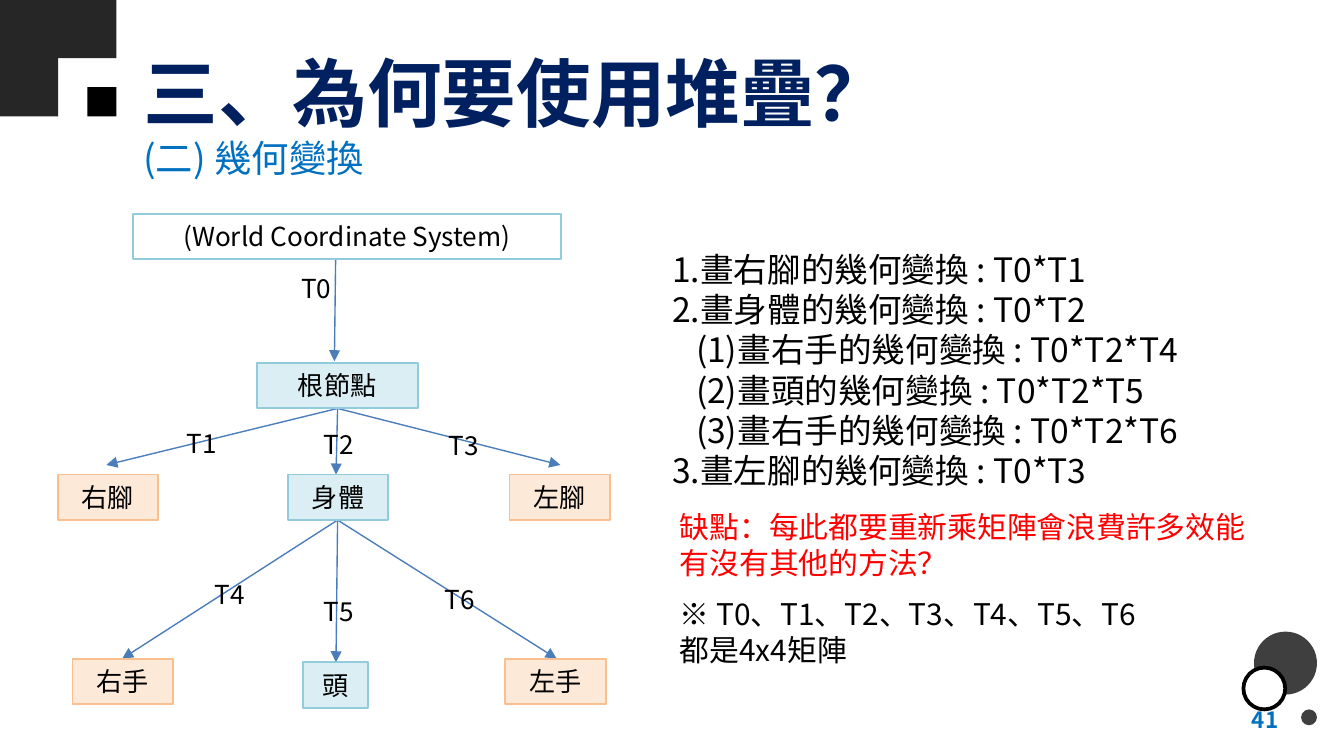
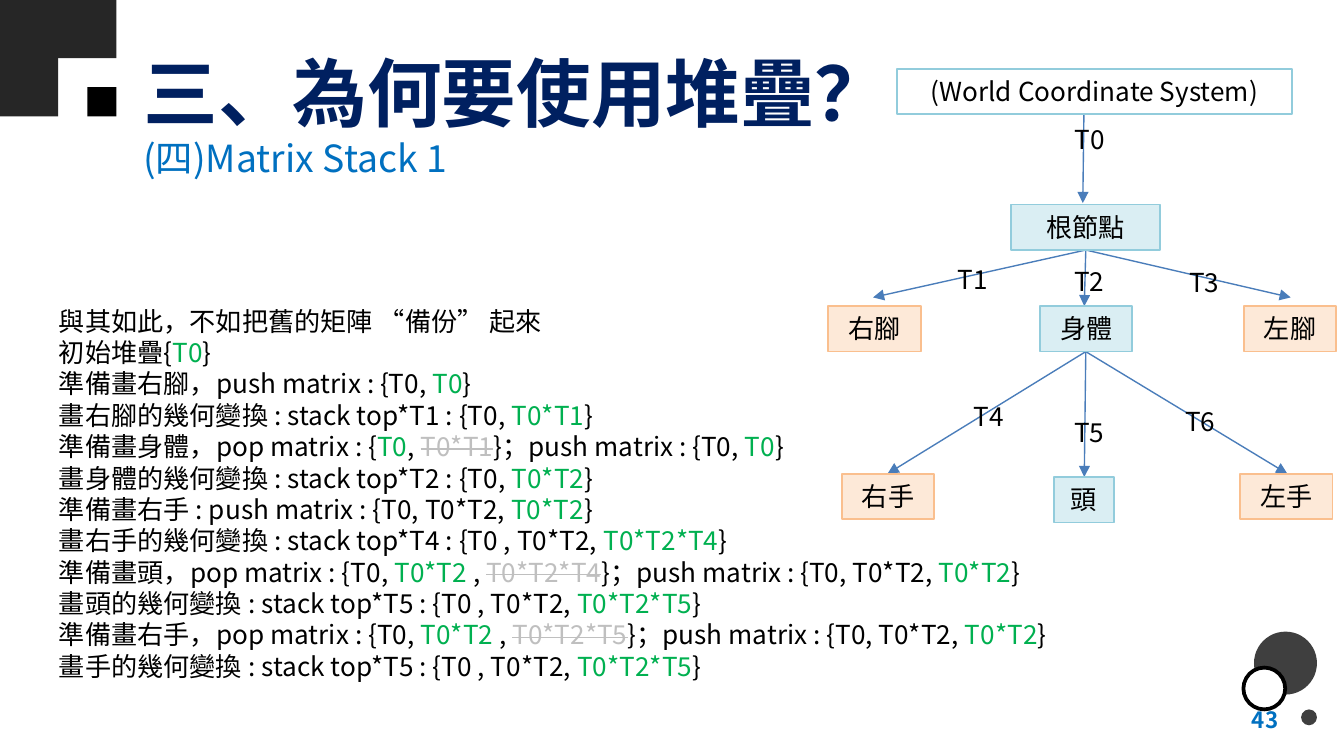
from dataclasses import dataclass
from typing import Any, NamedTuple

from lxml.etree import SubElement
from pptx import Presentation
from pptx.dml.color import RGBColor
from pptx.enum.shapes import MSO_CONNECTOR, MSO_SHAPE
from pptx.enum.text import MSO_ANCHOR, MSO_AUTO_SIZE, PP_ALIGN
from pptx.oxml.ns import qn
from pptx.util import Cm, Pt


@dataclass(frozen=True)
class Theme:
    font: str = "Noto Sans CJK TC"
    navy: str = "002060"
    blue: str = "0070C0"
    ink: str = "000000"
    white: str = "FFFFFF"
    red: str = "FF0000"
    green: str = "00B050"
    pale: str = "BFBFBF"
    dark: str = "262626"
    gray: str = "3F3F3F"
    arrow: str = "4A7DBA"
    aqua: str = "DAEEF3"
    teal: str = "92CCDC"
    peach: str = "FDE9D8"
    orange: str = "FABF8E"
    title: int = 40
    sub: int = 20
    list: int = 18
    note: int = 16
    small: int = 14
    page: int = 12
    pitch: float = 1.2


T = Theme()


class Box(NamedTuple):
    x: float
    y: float
    w: float
    h: float


class Bit(NamedTuple):
    text: str
    color: str = T.ink
    struck: bool = False


class Line(NamedTuple):
    bits: list[Bit]
    inset: float = 0


class Node(NamedTuple):
    text: str
    x: float
    y: float
    w: float
    fill: str
    edge: str


class Link(NamedTuple):
    x: float
    top: float  # top of the node the arrow leaves
    drop: float  # unscaled distance below that top
    to_x: float
    to_y: float


class Label(NamedTuple):
    text: str
    x: float
    y: float


class Tree(NamedTuple):
    x: float
    y: float
    wide: float
    tall: float
    shift: dict[str, float]

    def place(self, x: float, y: float) -> tuple[float, float]:
        return (self.x + self.wide * (x - AXIS), self.y + self.tall * (y - TOP))


# Tree of body parts, in cm
AXIS, TOP, HIGH, TAG = 6.38, 4.04, 0.86, 1.37
ROOT, LIMB, LEAF = 6.86, 8.97, 12.45
NODES = [
    Node("(World Coordinate System)", 2.51, TOP, 8.1, T.white, T.teal),
    Node("根節點", 4.85, ROOT, 3.05, T.aqua, T.teal),
    Node("身體", 5.44, LIMB, 1.9, T.aqua, T.teal),
    Node("右腳", 1.09, LIMB, 1.9, T.peach, T.orange),
    Node("左腳", 9.63, LIMB, 1.9, T.peach, T.orange),
    Node("頭", 5.72, 12.52, 1.24, T.aqua, T.teal),
    Node("右手", 1.37, LEAF, 1.9, T.peach, T.orange),
    Node("左手", 9.55, LEAF, 1.9, T.peach, T.orange),
]
LINKS = [Link(6.35, TOP, 0.28, 6.32, 6.83)] + [
    Link(AXIS, top, HIGH, x, y)
    for top, ends in (
        (ROOT, [(2.01, 8.79), (6.35, LIMB), (10.59, 8.79)]),
        (LIMB, [(6.35, 12.52), (2.31, LEAF), (10.52, LEAF)]),
    )
    for x, y in ends
]
LABELS = [
    Label("T0", 5.44, 5.03), Label("T1", 3.28, 7.95), Label("T2", 5.87, 7.98),
    Label("T3", 8.23, 8.0), Label("T4", 3.81, 10.8), Label("T5", 5.87, 11.13),
    Label("T6", 8.15, 10.9),
]


def rgb(code: str) -> RGBColor:
    return RGBColor.from_string(code)


def new(text: str) -> Bit:
    return Bit(text, T.green)


def old(text: str) -> Bit:
    return Bit(text, T.pale, True)


def plain(*texts: str, color: str = T.ink) -> list[Line]:
    return [Line([Bit(text, color)]) for text in texts]


# Text
def write(shape: Any, lines: list[Line], size: int, bold: bool = False,
          align: Any = PP_ALIGN.LEFT, anchor: Any = MSO_ANCHOR.TOP,
          fit: Any = MSO_AUTO_SIZE.SHAPE_TO_FIT_TEXT, tight: bool = True) -> None:
    frame = shape.text_frame
    frame.word_wrap = True
    frame.auto_size = fit
    frame.vertical_anchor = anchor
    for i, line in enumerate(lines):
        para = frame.paragraphs[0] if i == 0 else frame.add_paragraph()
        props = para._p.get_or_add_pPr()
        props.set("marL", str(Cm(line.inset)))
        props.set("indent", "0")
        SubElement(props, qn("a:buNone"))
        para.level = 1 if line.inset else 0
        para.alignment = align
        para.space_before = Pt(0)
        if tight:
            para.line_spacing = Pt(size * T.pitch)
        for bit in line.bits:
            run = para.add_run()
            run.text = bit.text
            font = run.font
            font.name, font.size, font.bold = T.font, Pt(size), bold
            font.color.rgb = rgb(bit.color)
            look = run._r.get_or_add_rPr()
            SubElement(look, qn("a:ea")).set("typeface", T.font)
            if bit.struck:
                look.set("strike", "sngStrike")


def move(shape: Any, box: Box) -> None:
    shape.left, shape.top, shape.width, shape.height = map(Cm, box)


def add_text(host: Any, box: Box, lines: list[Line], size: int, **style: Any) -> None:
    write(host.add_textbox(*map(Cm, box)), lines, size, **style)


# Shapes
def add_form(host: Any, kind: Any, box: Box, fill: str,
             edge: str | None = None, weight: float = 1) -> Any:
    form = host.add_shape(kind, *map(Cm, box))
    form.shadow.inherit = False
    form.fill.solid()
    form.fill.fore_color.rgb = rgb(fill)
    if edge:
        form.line.color.rgb = rgb(edge)
        form.line.width = Pt(weight)
    else:
        form.line.fill.background()
    return form


def add_arrow(host: Any, start: tuple[float, float], end: tuple[float, float]) -> None:
    arrow = host.add_connector(MSO_CONNECTOR.STRAIGHT, *map(Cm, start + end))
    arrow.line.color.rgb = rgb(T.arrow)
    arrow.line.width = Pt(0.75)
    SubElement(arrow.line._get_or_add_ln(), qn("a:tailEnd")).set("type", "triangle")
    SubElement(arrow._element.spPr, qn("a:effectLst"))


def add_tree(slide: Any, tree: Tree) -> None:
    host = slide.shapes.add_group_shape().shapes
    for link in LINKS:
        x, y = tree.place(link.x, link.top)
        add_arrow(host, (x, y + link.drop), tree.place(link.to_x, link.to_y))
    for node in NODES:
        box = Box(*tree.place(node.x, node.y), node.w * tree.wide, HIGH)
        form = add_form(host, MSO_SHAPE.RECTANGLE, box, node.fill, node.edge)
        write(form, plain(node.text), T.small, align=PP_ALIGN.CENTER)
    for label in LABELS:
        x, y = tree.place(label.x, label.y)
        box = Box(x + tree.shift.get(label.text, 0), y, TAG * tree.wide, HIGH)
        add_text(host, box, plain(label.text), T.small)


# Shared frame: title, corner blocks, circles, page number
def add_slide(deck: Any, sub: str, page: str) -> Any:
    slide = deck.slides.add_slide(deck.slide_layouts[1])
    title = slide.shapes.title
    move(title, Box(2.46, 0.53, 16.64, 2.39))
    write(title, plain("三、為何要使用堆疊？", color=T.navy), T.title, bold=True,
          anchor=MSO_ANCHOR.MIDDLE, fit=MSO_AUTO_SIZE.NONE, tight=False)

    side = 1.1
    blocks = slide.shapes.add_group_shape().shapes
    for col, row in ((0, 0), (1, 0), (0, 1)):
        box = Box(col * side, row * side, side, side)
        add_form(blocks, MSO_SHAPE.RECTANGLE, box, T.dark)
    half = side / 2
    add_form(blocks, MSO_SHAPE.RECTANGLE, Box(3 * half, 3 * half, half, half), T.ink)

    dots = slide.shapes.add_group_shape().shapes
    add_form(dots, MSO_SHAPE.OVAL, Box(23.7, 11.94, 1.19, 1.19), T.gray)
    add_form(dots, MSO_SHAPE.OVAL, Box(24.59, 13.41, 0.3, 0.3), T.gray)
    add_form(dots, MSO_SHAPE.OVAL, Box(23.5, 12.62, 0.79, 0.79), T.white, T.ink, 2)

    add_text(slide.shapes, Box(18.49, 13.23, 5.92, 0.76), plain(page, color=T.blue),
             T.page, bold=True, align=PP_ALIGN.RIGHT, anchor=MSO_ANCHOR.MIDDLE,
             fit=MSO_AUTO_SIZE.NONE)
    add_text(slide.shapes, Box(2.46, 2.44, 12.5, 1.12), plain(sub, color=T.blue), T.sub)
    return slide


def add_list(slide: Any, box: Box, lines: list[Line], size: int) -> None:
    body = slide.placeholders[1]
    move(body, box)
    write(body, lines, size)


def draw_moves(deck: Any) -> None:
    slide = add_slide(deck, "(二) 幾何變換", "41")
    add_tree(slide, Tree(AXIS, TOP, 1, 1, {}))
    deep = 0.45
    add_list(slide, Box(12.45, 4.57, 12.7, 4.88), [
        Line([Bit("1.畫右腳的幾何變換 : T0*T1")]),
        Line([Bit("2.畫身體的幾何變換 : T0*T2")]),
        Line([Bit("(1)畫右手的幾何變換 : T0*T2*T4")], deep),
        Line([Bit("(2)畫頭的幾何變換 : T0*T2*T5")], deep),
        Line([Bit("(3)畫右手的幾何變換 : T0*T2*T6")], deep),
        Line([Bit("3.畫左腳的幾何變換 : T0*T3")]),
    ], T.list)
    add_text(slide.shapes, Box(12.6, 11.13, 9.22, 1.63),
             plain("※ T0、T1、T2、T3、T4、T5、T6", "都是4x4矩陣"), T.note)
    add_text(slide.shapes, Box(12.6, 9.5, 12.12, 1.63),
             plain("缺點：每此都要重新乘矩陣會浪費許多效能", "有沒有其他的方法？",
                   color=T.red), T.note, fit=MSO_AUTO_SIZE.NONE)


# Steps of the stack
def grow(lead: str, top: str) -> Line:
    return Line([Bit(lead), new(top), Bit("}")])


def swap(lead: str, keep: str, gap: str, gone: str, push: str) -> Line:
    return Line([Bit(lead), new(keep), Bit(gap), old(gone),
                 Bit("}；push matrix : {" + push), new(keep), Bit("}")])


def draw_stack(deck: Any) -> None:
    slide = add_slide(deck, "(四)Matrix Stack 1", "43")
    add_tree(slide, Tree(20.52, 1.3, 0.92, 0.91, {"T0": 0.41, "T1": 0.18}))
    add_list(slide, Box(0.86, 5.64, 24.54, 7.44), [
        Line([Bit("與其如此，不如把舊的矩陣 “備份” 起來")]),
        grow("初始堆疊{", "T0"),
        grow("準備畫右腳，push matrix : {T0, ", "T0"),
        grow("畫右腳的幾何變換 : stack top*T1 : {T0, ", "T0*T1"),
        swap("準備畫身體，pop matrix : {", "T0", ", ", "T0*T1", "T0, "),
        grow("畫身體的幾何變換 : stack top*T2 : {T0, ", "T0*T2"),
        grow("準備畫右手 : push matrix : {T0, T0*T2, ", "T0*T2"),
        grow("畫右手的幾何變換 : stack top*T4 : {T0 , T0*T2, ", "T0*T2*T4"),
        swap("準備畫頭，pop matrix : {T0, ", "T0*T2", " , ", "T0*T2*T4", "T0, T0*T2, "),
        grow("畫頭的幾何變換 : stack top*T5 : {T0 , T0*T2, ", "T0*T2*T5"),
        swap("準備畫右手，pop matrix : {T0, ", "T0*T2", " , ", "T0*T2*T5", "T0, T0*T2, "),
        grow("畫手的幾何變換 : stack top*T5 : {T0 , T0*T2, ", "T0*T2*T5"),
    ], T.small)


def main() -> None:
    deck = Presentation()
    deck.slide_width, deck.slide_height = Cm(25.4), Cm(14.29)
    draw_moves(deck)
    draw_stack(deck)
    deck.save("out.pptx")


if __name__ == "__main__":
    main()
